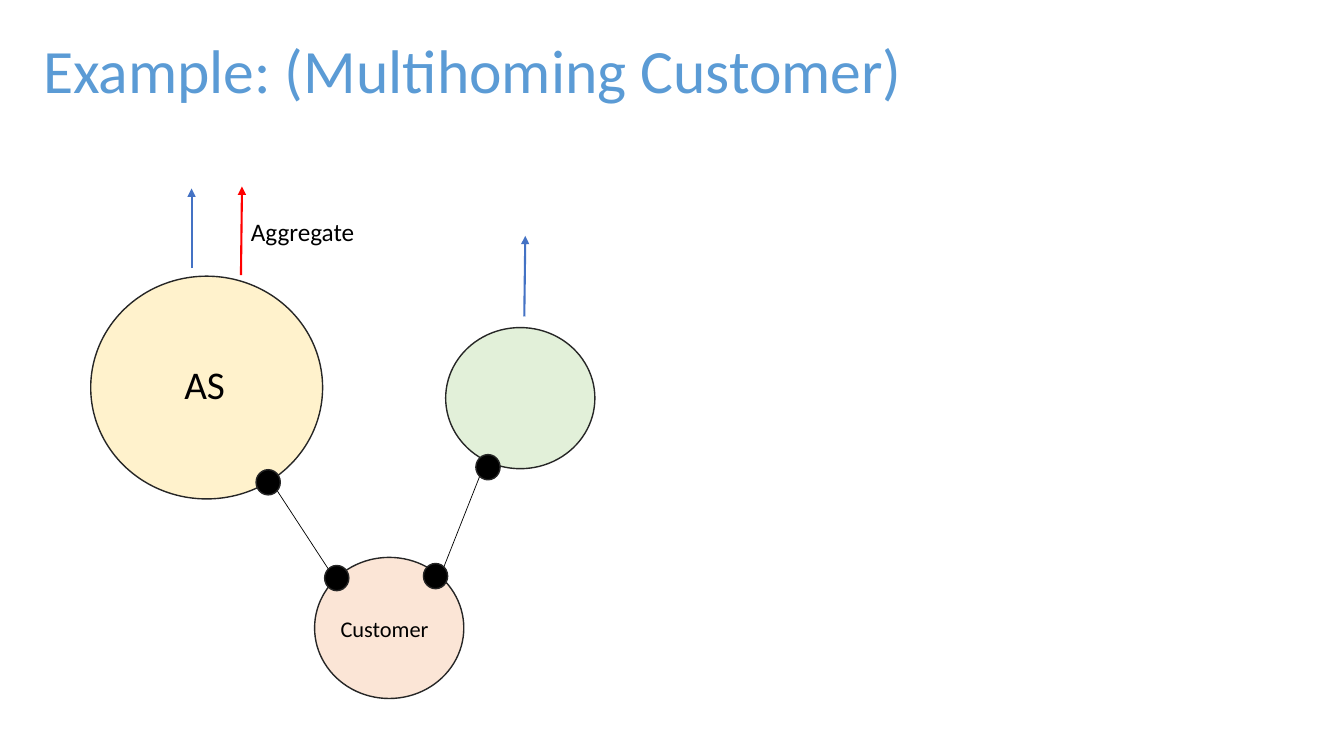
import pptx
import pptx.dml.color
import pptx.enum.shapes
import pptx.enum.text
import pptx.oxml.ns
import pptx.util
from lxml import etree

PX = 9144  # EMU per px, 100 px to the inch

presentation = pptx.Presentation()
presentation.slide_width = 1333 * PX
presentation.slide_height = 750 * PX
slide = presentation.slides.add_slide(presentation.slide_layouts[6])


def rgb(color):
    return pptx.dml.color.RGBColor.from_string(color)


def add_text(text, left, top, width, height, size, color="000000", spacing=1.0, wrap=True,
             anchor=pptx.enum.text.MSO_ANCHOR.TOP):
    box = slide.shapes.add_textbox(left * PX, top * PX, width * PX, height * PX)
    frame = box.text_frame
    frame.word_wrap = wrap
    frame.vertical_anchor = anchor
    paragraph = frame.paragraphs[0]
    paragraph.text = text
    paragraph.line_spacing = spacing
    paragraph.font.name = "Calibri"
    paragraph.font.size = pptx.util.Pt(size)
    paragraph.font.color.rgb = rgb(color)


# Links between the routers, then the arrows for announced routes
lines = [
    (440, 563, 476, 472, "000000", 0.5, False),
    (326, 565, 275, 487, "000000", 0.5, False),
    (239, 273, 240, 185, "FF0000", 1.5, True),
    (190, 266, 190, 187, "4472C4", 1.5, True),
    (520, 314, 521, 234, "4472C4", 1.5, True),
]
for x1, y1, x2, y2, color, weight, has_arrowhead in lines:
    connector = slide.shapes.add_connector(
        pptx.enum.shapes.MSO_CONNECTOR.STRAIGHT, x1 * PX, y1 * PX, x2 * PX, y2 * PX)
    connector.line.color.rgb = rgb(color)
    connector.line.width = pptx.util.Pt(weight)
    if has_arrowhead:
        etree.SubElement(connector.line._get_or_add_ln(),
                         pptx.oxml.ns.qn("a:tailEnd"), type="triangle")
    etree.SubElement(connector._element.spPr, pptx.oxml.ns.qn("a:effectLst"))

# Networks, then the routers on their edges
networks = [
    (90, 274, 230, 221, "FFF2CC"),
    (312, 553, 148, 140, "FBE5D6"),
    (442, 325, 148, 140, "E2F0D9"),
]
router_corners = [(322, 561), (420, 559), (472, 451), (254, 466)]
routers = [(left, top, 24, 25, "000000") for left, top in router_corners]
for left, top, width, height, color in networks + routers:
    circle = slide.shapes.add_shape(
        pptx.enum.shapes.MSO_SHAPE.OVAL, left * PX, top * PX, width * PX, height * PX)
    circle.shadow.inherit = False
    circle.fill.solid()
    circle.fill.fore_color.rgb = rgb(color)
    circle.line.color.rgb = rgb("262626")
    circle.line.width = pptx.util.Pt(1)

add_text("AS", 173, 362, 63, 51, size=28, spacing=0.8)
add_text("Aggregate", 239, 210, 124, 40, size=18, wrap=False)
add_text("Customer", 328, 611, 117, 33, size=16, spacing=0.8)
add_text("Example: (Multihoming Customer)", 33, 0, 1150, 145, size=44, color="5B9BD5",
         spacing=0.9, anchor=pptx.enum.text.MSO_ANCHOR.MIDDLE)

presentation.save("out.pptx")
